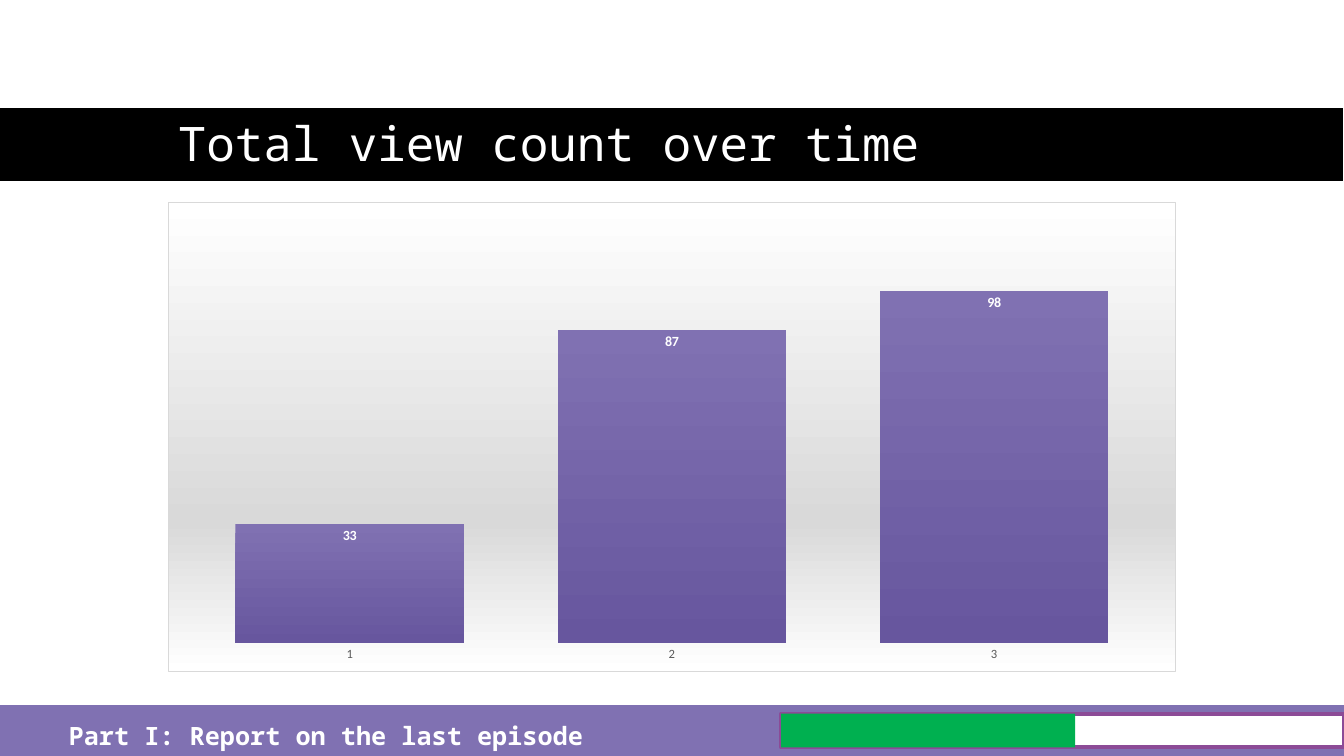
from lxml import etree
from pptx import Presentation, util as u
from pptx.chart.data import CategoryChartData
from pptx.dml.color import RGBColor
from pptx.enum import chart as charts, shapes, text
from pptx.oxml import parse_xml
from pptx.oxml.ns import nsdecls, qn

WIDTH, HEIGHT = u.Inches(13.33), u.Inches(7.5)
COLUMN, ROW = WIDTH / 16, HEIGHT / 15
PURPLE, WHITE, BLACK = "8071B2", "FFFFFF", "000000"
MONO = "Noto Sans Mono"


def color(value):
    return RGBColor.from_string(value)


def gradient(stops):
    """Vertical gradient fill from (percent, colour) stops."""
    marks = "".join(
        f'<a:gs pos="{percent * 1000}"><a:srgbClr val="{value}"/></a:gs>'
        for percent, value in stops)
    return parse_xml(f'<a:gradFill {nsdecls("a")} rotWithShape="1"><a:gsLst>{marks}</a:gsLst>'
                     '<a:lin ang="5400000" scaled="0"/></a:gradFill>')


presentation = Presentation()
presentation.slide_width, presentation.slide_height = WIDTH, HEIGHT
slide = presentation.slides.add_slide(presentation.slide_layouts[6])

# Bands and progress bar: left, top, width, height in columns and rows
bands = [
    (-0.4, 2.12, 16.4, 1.5, BLACK, WHITE, 1.5),
    (0, 14, 16, 1, PURPLE, PURPLE, 1),
    (9.3, 14.16, 6.7, 0.67, WHITE, "8C4B97", 3),
    (9.3, 14.16, 3.5, 0.67, "00B050", None, 0),
]
for left, top, width, height, fill, line, weight in bands:
    shape = slide.shapes.add_shape(
        shapes.MSO_SHAPE.RECTANGLE,
        int(left * COLUMN), int(top * ROW), int(width * COLUMN), int(height * ROW))
    shape.shadow.inherit = False
    shape.fill.solid()
    shape.fill.fore_color.rgb = color(fill)
    if line:
        shape.line.color.rgb = color(line)
        shape.line.width = u.Pt(weight)
    else:
        shape.line.fill.background()

# Title and section name
labels = [
    (2, 1, 12, 2.5, "Total view count over time", 34, False, text.MSO_ANCHOR.BOTTOM, 0.9),
    (0.7, 14.2, 6.5, 0.8, "Part I: Report on the last episode", 18, True, text.MSO_ANCHOR.TOP, 1),
]
for left, top, width, height, words, size, bold, anchor, spacing in labels:
    box = slide.shapes.add_textbox(
        int(left * COLUMN), int(top * ROW), int(width * COLUMN), int(height * ROW))
    frame = box.text_frame
    frame.word_wrap = True
    frame.vertical_anchor = anchor
    paragraph = frame.paragraphs[0]
    paragraph.line_spacing = spacing
    run = paragraph.add_run()
    run.text = words
    run.font.name = MONO
    run.font.size = u.Pt(size)
    run.font.bold = bold
    run.font.color.rgb = color(WHITE)

# Column chart of view counts
data = CategoryChartData()
data.categories = ["1", "2", "3"]
data.add_series("Series 1", [33, 87, 98])
chart = slide.shapes.add_chart(
    charts.XL_CHART_TYPE.COLUMN_CLUSTERED,
    int(2 * COLUMN), int(4 * ROW), int(12 * COLUMN), int(9.33 * ROW), data).chart
chart.has_legend = False
chart.has_title = False
chart.font.name = "Calibri"
chart.font.size = u.Pt(10)
chart.font.color.rgb = color(BLACK)

axis = chart.category_axis
axis.major_tick_mark = charts.XL_TICK_MARK.NONE
axis.format.line.fill.background()
axis.tick_labels.font.name = "Calibri"
axis.tick_labels.font.size = u.Pt(9)
axis.tick_labels.font.color.rgb = color("595959")

values = chart.value_axis
values.minimum_scale, values.maximum_scale = 0, 120
values.has_major_gridlines = False
values.visible = False

# Columns and value labels
plot = chart.plots[0]
plot.gap_width = 41
plot.vary_by_categories = False
series = plot.series[0]
series.format.fill.background()
column_properties = series.format.fill._xPr
column_properties.replace(column_properties.find(qn("a:noFill")),
                          gradient([(0, PURPLE), (100, "67569E")]))
value_labels = series.data_labels
value_labels.show_value = True
value_labels.position = charts.XL_LABEL_POSITION.INSIDE_END
value_labels.font.name = "Calibri"
value_labels.font.size = u.Pt(10)
value_labels.font.bold = True
value_labels.font.color.rgb = color(WHITE)

# Chart background and border
chart_properties = parse_xml(
    f'<c:spPr {nsdecls("c", "a")}><a:ln w="9525"><a:solidFill>'
    '<a:srgbClr val="D9D9D9"/></a:solidFill></a:ln></c:spPr>')
chart_properties.insert(0, gradient([(0, WHITE), (68, "D9D9D9"), (100, WHITE)]))
chart_element = chart.element.find(qn("c:chart"))
chart_element.addnext(chart_properties)

# Plot area as shares of the chart
plot_area = chart_element.find(qn("c:plotArea"))
for old in plot_area.findall(qn("c:layout")):
    plot_area.remove(old)
layout = parse_xml(f'<c:layout {nsdecls("c")}><c:manualLayout/></c:layout>')
settings = [("layoutTarget", "inner"), ("xMode", "edge"), ("yMode", "edge"),
            ("x", "0.02"), ("y", "0.02"), ("w", "0.96"), ("h", "0.92")]
for name, value in settings:
    etree.SubElement(layout[0], qn(f"c:{name}"), val=value)
plot_area.insert(0, layout)

presentation.save("out.pptx")
